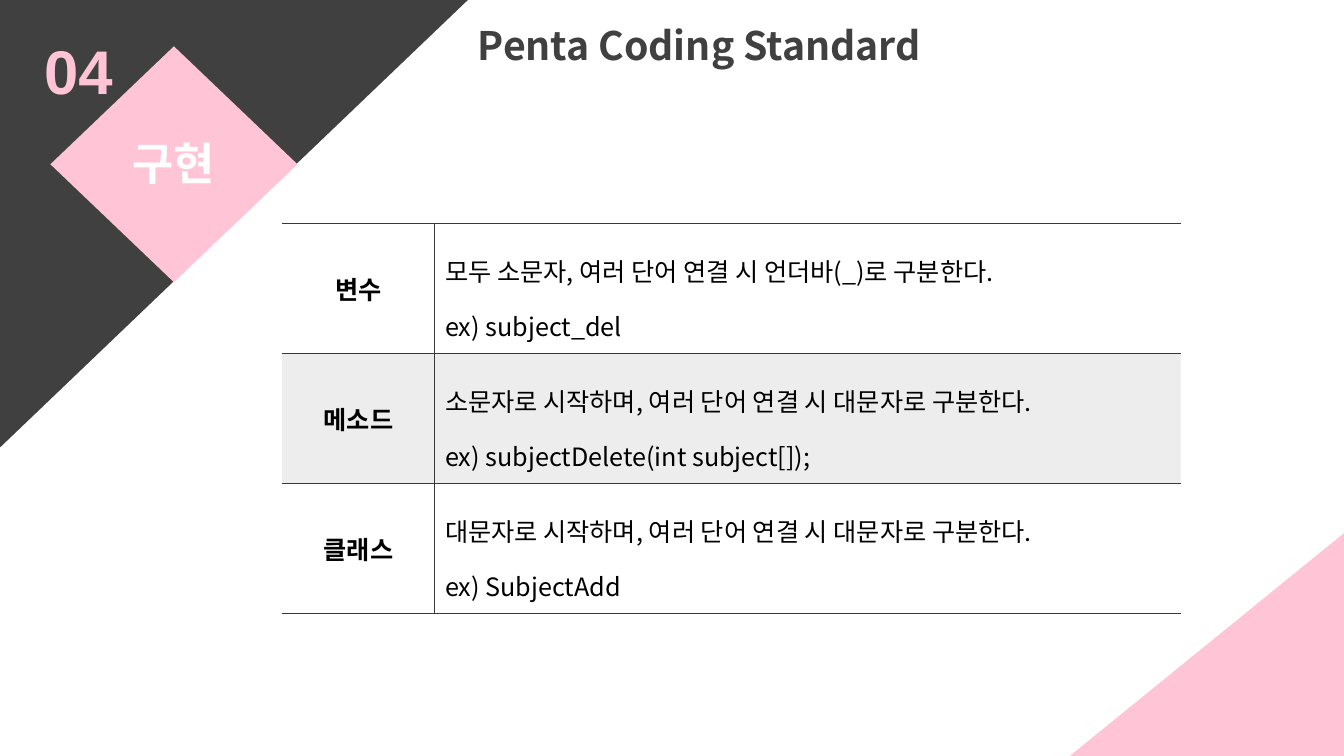
"""Build the coding standard slide: corner shapes, section label, title and naming table."""
import pptx
import pptx.util
import pptx.dml.color
import pptx.enum.shapes
import pptx.enum.text
import pptx.oxml
import pptx.oxml.ns

SHAPE = pptx.enum.shapes.MSO_SHAPE
ALIGN = pptx.enum.text.PP_ALIGN
ANCHOR = pptx.enum.text.MSO_ANCHOR
Pt = pptx.util.Pt

COLORS = {"pink": "FFC5D7", "dark": "404040", "white": "FFFFFF",
          "black": "000000", "rule": "3B3838", "band": "A5A5A5"}
LATIN, KOREAN = "Arial", "Noto Sans CJK KR"

TITLE = ("Penta Coding Standard", (34.81, 2.13, 53.04, 7.87))
DECOR = [
    (SHAPE.RIGHT_TRIANGLE, (79.6, 70.53, 20.4, 29.47), "pink", 0, True),
    (SHAPE.RIGHT_TRIANGLE, (0.75, -1.33, 33.3, 61.87), "dark", 90, False),
    (SHAPE.DIAMOND, (3.75, 6.13, 18.38, 31.2), "pink", 0, False),
]
LABELS = [
    ("04", (2.55, 3.73, 7.95, 11.2), 44, "pink", ALIGN.LEFT),
    ("구현", (4.8, 17.33, 16.2, 8.53), 32, "white", ALIGN.CENTER),
]
RULES = [
    ("변수", ["모두 소문자, 여러 단어 연결 시 언더바(_)로 구분한다.",
            "ex) subject_del"]),
    ("메소드", ["소문자로 시작하며, 여러 단어 연결 시 대문자로 구분한다.",
             "ex) subjectDelete(int subject[]);"]),
    ("클래스", ["대문자로 시작하며, 여러 단어 연결 시 대문자로 구분한다.",
             "ex) SubjectAdd"]),
]
TABLE_BOX = (21, 29.6, 66.84, 51.6)
NAME_SHARE = 0.17

prs = pptx.Presentation()
prs.slide_width = pptx.util.Inches(13.33)
prs.slide_height = pptx.util.Inches(7.5)


def place(box):
    """Turn percentages of the slide into left, top, width and height."""
    sides = (prs.slide_width, prs.slide_height) * 2
    return [round(share * side / 100) for share, side in zip(box, sides)]


def rgb(name):
    return pptx.dml.color.RGBColor.from_string(COLORS[name])


def element(tag, parent, **attributes):
    el = pptx.oxml.ns.qn(tag)
    el = parent.makeelement(el, attributes)
    parent.append(el)
    return el


def write(tf, lines, size, color, bold, align, face=KOREAN, spacing=None):
    tf.text = "\n".join(lines)
    for p in tf.paragraphs:
        p.alignment = align
        p.line_spacing = spacing
        p.font.size, p.font.bold, p.font.name = Pt(size), bold, face
        p.font.color.rgb = rgb(color)
        for r in p.runs:
            element("a:ea", r.font._element, typeface=KOREAN)


def border(cell, widths):
    """Draw left, right, top and bottom lines; a width of 0 hides the line."""
    tcPr = cell._tc.get_or_add_tcPr()
    for i, (side, width) in enumerate(zip("LRTB", widths)):
        tag = pptx.oxml.ns.qn(f"a:ln{side}")
        ln = tcPr.makeelement(tag, {"w": str(Pt(width))})
        tcPr.insert(i, ln)
        if width:
            element("a:srgbClr", element("a:solidFill", ln), val=COLORS["rule"])
        else:
            element("a:noFill", ln)


def shade(cell, banded):
    if not banded:
        cell.fill.background()
        return
    cell.fill.solid()
    cell.fill.fore_color.rgb = rgb("band")
    color = cell._tc.tcPr.find(".//" + pptx.oxml.ns.qn("a:solidFill") + "[last()]/"
                               + pptx.oxml.ns.qn("a:srgbClr"))
    element("a:alpha", color, val="20000")


s = prs.slides.add_slide(prs.slide_layouts[5])

for kind, box, color, rotation, flipped in DECOR:
    sp = s.shapes.add_shape(kind, *place(box))
    sp.shadow.inherit = False
    sp.fill.solid()
    sp.fill.fore_color.rgb = rgb(color)
    sp.line.fill.background()
    sp.rotation = rotation
    if flipped:
        sp._element.spPr.xfrm.set("flipH", "1")

for text, box, size, color, align in LABELS:
    tf = s.shapes.add_textbox(*place(box)).text_frame
    tf.word_wrap = True
    write(tf, [text], size, color, True, align, LATIN)

text, box = TITLE
title = s.shapes.title
title.left, title.top, title.width, title.height = place(box)
title.text_frame.vertical_anchor = ANCHOR.TOP
title.text_frame.auto_size = pptx.enum.text.MSO_AUTO_SIZE.NONE
write(title.text_frame, [text], 28, "dark", True, ALIGN.LEFT)

left, top, width, height = place(TABLE_BOX)
table = s.shapes.add_table(len(RULES), 2, left, top, width, height).table
table.first_row = table.horz_banding = False
table.columns[0].width = round(width * NAME_SHARE)
table.columns[1].width = width - table.columns[0].width
for i, (name, lines) in enumerate(RULES):
    name_cell, rule_cell = table.cell(i, 0), table.cell(i, 1)
    write(name_cell.text_frame, [name], 18, "black", True, ALIGN.CENTER)
    write(rule_cell.text_frame, lines, 18, "black", False, ALIGN.LEFT, spacing=1.5)
    for cell, widths in ((name_cell, (0, 0.75, 1, 1)), (rule_cell, (0.75, 0, 1, 1))):
        cell.vertical_anchor = ANCHOR.MIDDLE
        shade(cell, i % 2 == 1)
        border(cell, widths)

prs.save("out.pptx")
